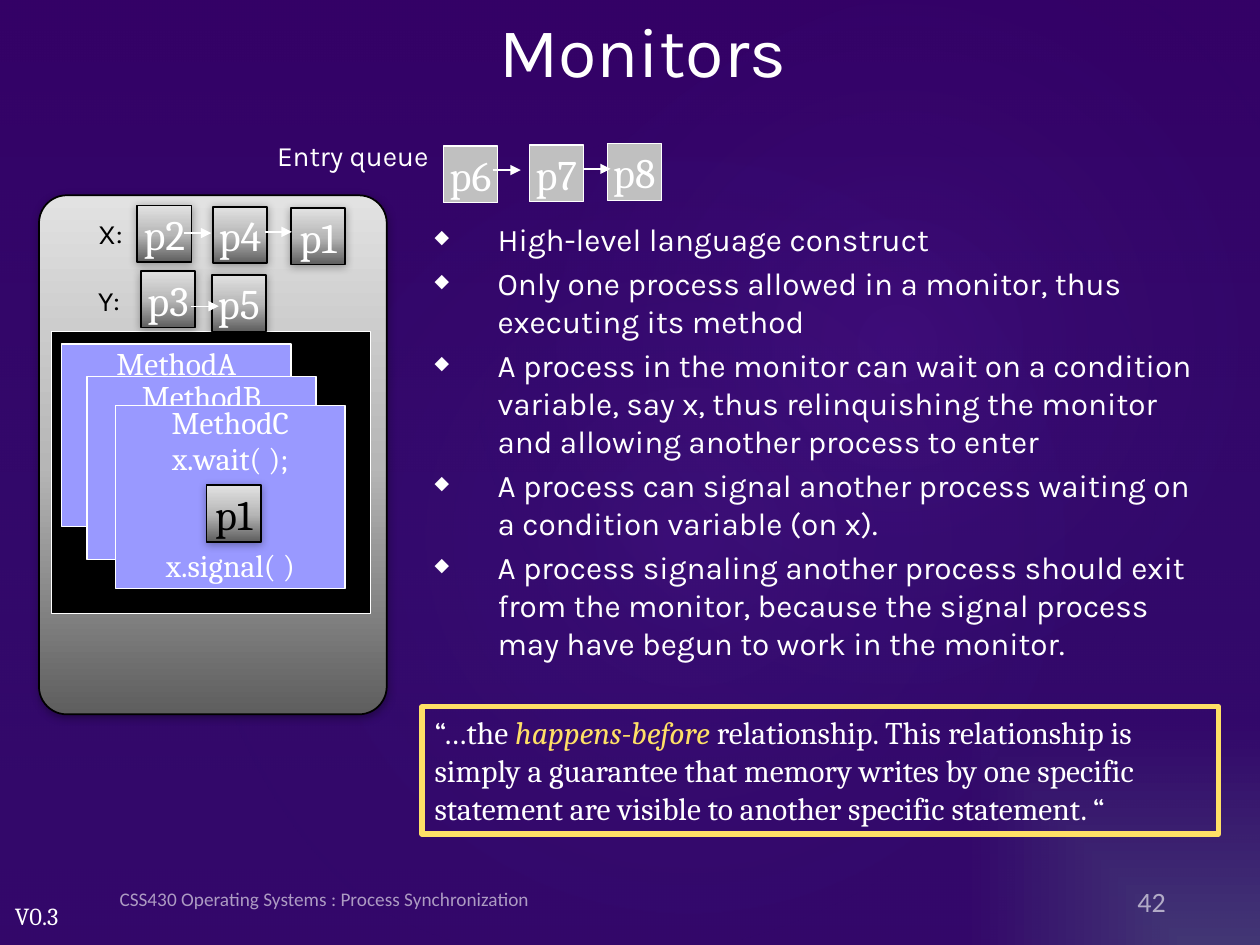
from dataclasses import dataclass
from typing import Any, Sequence

import pptx
import pptx.dml.color
import pptx.enum.shapes
import pptx.enum.text
import pptx.oxml
import pptx.oxml.ns
import pptx.util

Pt = pptx.util.Pt
qn = pptx.oxml.ns.qn
SHAPE = pptx.enum.shapes.MSO_SHAPE
ALIGN = pptx.enum.text.PP_ALIGN
ANCHOR = pptx.enum.text.MSO_ANCHOR
AUTO_SIZE = pptx.enum.text.MSO_AUTO_SIZE
WHITE, BLACK, YELLOW = "FFFFFF", "000000", "FFE066"
BOX_SIZE = (31, 32.4)
METHOD_SIZE = (131, 104.4)
ARROW_LENGTH = 15.6


@dataclass(frozen=True)
class TextStyle:
    font: str
    size: float
    color: str = WHITE
    opacity: int = 100
    italic: bool = False


@dataclass(frozen=True)
class Gradient:
    """Stops are (position, colour, opacity), all but the colour in percent."""
    stops: tuple
    angle: int = 0
    center: tuple = ()
    form: str = "circle"


@dataclass(frozen=True)
class ProcessBox:
    name: str
    left: float
    top: float
    color: str = WHITE


@dataclass(frozen=True)
class Method:
    left: float
    top: float
    lines: tuple
    spacing: float = 1.0


STEEL = Gradient(((0, "5E5E5E", 100), (48, "B6B6B6", 100), (100, "E2E2E2", 100)), angle=270)
BACKDROP = Gradient(((0, "463673", 100), (47, "350267", 100)), center=(100, 100, 0, 0), form="rect")
VEIL = Gradient(((0, "330066", 36), (100, "263B86", 10)), angle=90)
GLOWS = (((108, 82.1, 570.2, 449.3), 7), ((257.8, 9.4, 510.5, 374.4), 8))

LABEL = TextStyle("Karla", 16)
BODY = TextStyle("Karla", 18)
CODE = TextStyle("Cambria", 18)

POINTS = (
    "High-level language construct",
    "Only one process allowed in a monitor, thus executing its method",
    "A process in the monitor can wait on a condition variable, say x, thus relinquishing "
    "the monitor and allowing another process to enter",
    "A process can signal another process waiting on a condition variable (on x).",
    "A process signaling another process should exit from the monitor, because the signal "
    "process may have begun to work in the monitor.",
)
# Each method line is (text, space before)
METHODS = (
    Method(35.3, 196.6, (("MethodA", 0),)),
    Method(49.7, 215.3, (("MethodB", 0),)),
    Method(66.2, 231.8, (("MethodC", 0), ("x.wait( );", 0), ("x.signal( )", 41)), 0.95),
)
MONITOR_BOXES = (
    ProcessBox("p5", 121, 157), ProcessBox("p1", 166.3, 118.8),
    ProcessBox("p4", 121.7, 118.1), ProcessBox("p1", 118.1, 277.2, BLACK),
    ProcessBox("p3", 80.6, 154.8), ProcessBox("p2", 78.5, 117.4),
)
MONITOR_ARROWS = ((105.1, 133.2), (151.2, 132.5), (109.4, 175))
ENTRY_BOXES = (ProcessBox("p8", 347, 82.1), ProcessBox("p7", 302.4, 82.8),
               ProcessBox("p6", 253.4, 83.5))
ENTRY_ARROWS = ((282, 97.2), (333.4, 96.5))


def rgb(color: str) -> pptx.dml.color.RGBColor:
    return pptx.dml.color.RGBColor.from_string(color)


def set_attributes(target: Any, values: dict) -> None:
    for name, value in values.items():
        setattr(target, name, value)


def add_element(parent: Any, tag: str, **attributes: Any) -> Any:
    element = pptx.oxml.parse_xml(f"<{tag} {pptx.oxml.ns.nsdecls('a')}/>")
    for name, value in attributes.items():
        element.set(name, str(value))
    parent.append(element)
    return element


def add_color(parent: Any, color: str, opacity: int) -> None:
    element = add_element(parent, "a:srgbClr", val=color)
    if opacity < 100:
        add_element(element, "a:alpha", val=opacity * 1000)


def apply_gradient(fill: Any, owner: Any, gradient: Gradient) -> None:
    """Fill the owner element, whose fill object is given, with the gradient."""
    fill.gradient()
    element = next(owner.iter(qn("a:gradFill")))
    element.clear()
    stops = add_element(element, "a:gsLst")
    for position, color, opacity in gradient.stops:
        add_color(add_element(stops, "a:gs", pos=position * 1000), color, opacity)
    if gradient.center:
        shade = add_element(element, "a:path", path=gradient.form)
        sides = {side: part * 1000 for side, part in zip("ltrb", gradient.center)}
        add_element(shade, "a:fillToRect", **sides)
    else:
        add_element(element, "a:lin", ang=gradient.angle * 60000, scaled=0)


def add_run(paragraph: Any, text: str, style: TextStyle) -> None:
    run = paragraph.add_run()
    run.text = text
    set_attributes(run.font, {"name": style.font, "size": Pt(style.size), "italic": style.italic})
    run.font.color.rgb = rgb(style.color)
    if style.opacity < 100:
        color = next(run.font._element.iter(qn("a:srgbClr")))
        add_element(color, "a:alpha", val=style.opacity * 1000)


def write_lines(shape: Any, lines: Sequence, style: TextStyle, paragraph_format: dict,
                frame_format: dict) -> None:
    """Write one paragraph for each (text, space before) pair."""
    frame = shape.text_frame
    set_attributes(frame, frame_format)
    for index, (text, space) in enumerate(lines):
        paragraph = frame.add_paragraph() if index else frame.paragraphs[0]
        set_attributes(paragraph, paragraph_format)
        if space:
            paragraph.space_before = Pt(space)
        add_run(paragraph, text, style)


def add_text(shapes: Any, box: tuple, lines: Sequence, style: TextStyle,
             alignment: Any = ALIGN.LEFT, **frame_format: Any) -> Any:
    shape = shapes.add_textbox(*map(Pt, box))
    write_lines(shape, lines, style, {"alignment": alignment}, {"word_wrap": True, **frame_format})
    return shape


def add_box(shapes: Any, kind: Any, box: tuple, fill: Any, line: str = "",
            width: float = 0.75, shadow: bool = False) -> Any:
    shape = shapes.add_shape(kind, *map(Pt, box))
    shape.shadow.inherit = False
    if isinstance(fill, Gradient):
        apply_gradient(shape.fill, shape.element.spPr, fill)
    else:
        shape.fill.solid()
        shape.fill.fore_color.rgb = rgb(fill)
    if line:
        shape.line.color.rgb = rgb(line)
        shape.line.width = Pt(width)
    else:
        shape.line.fill.background()
    if shadow:
        effects = shape.element.spPr.find(qn("a:effectLst"))
        outer = add_element(effects, "a:outerShdw", blurRad=Pt(5), dist=Pt(1), dir=90 * 60000)
        add_color(outer, BLACK, 32)
    return shape


def add_process(shapes: Any, process: ProcessBox, fill: Any, *outline: Any) -> None:
    shape = add_box(shapes, SHAPE.RECTANGLE, (process.left, process.top, *BOX_SIZE), fill, *outline)
    write_lines(shape, [(process.name, 0)], TextStyle("Cambria", 24, process.color),
                {"alignment": ALIGN.CENTER},
                {"word_wrap": False, "vertical_anchor": ANCHOR.MIDDLE})


def add_method(shapes: Any, method: Method) -> None:
    shape = add_box(shapes, SHAPE.RECTANGLE, (method.left, method.top, *METHOD_SIZE),
                    "9999FF", WHITE)
    write_lines(shape, method.lines, CODE,
                {"alignment": ALIGN.CENTER, "line_spacing": method.spacing},
                {"word_wrap": False, "vertical_anchor": ANCHOR.TOP, "margin_top": 0})


def add_arrow(shapes: Any, left: float, top: float) -> None:
    arrow = shapes.add_connector(pptx.enum.shapes.MSO_CONNECTOR.STRAIGHT,
                                 Pt(left), Pt(top), Pt(left + ARROW_LENGTH), Pt(top))
    arrow.line.color.rgb = rgb(WHITE)
    arrow.line.width = Pt(0.75)
    add_element(arrow.line._get_or_add_ln(), "a:tailEnd", type="triangle")
    add_element(arrow._element.spPr, "a:effectLst")


def add_backdrop(slide: Any) -> None:
    apply_gradient(slide.background.fill, slide.element, BACKDROP)
    add_box(slide.shapes, SHAPE.RECTANGLE, (0, 0, 720, 540), VEIL)
    for box, opacity in GLOWS:
        glow = Gradient(((0, "A347FF", opacity), (58, "263B86", 0)), center=(50,) * 4)
        add_box(slide.shapes, SHAPE.OVAL, box, glow).rotation = 328.7


def add_title(slide: Any) -> None:
    title = slide.shapes.title
    title.element.getparent().append(title.element)  # in front of the backdrop
    set_attributes(title, {"left": Pt(61.2), "top": 0, "width": Pt(612), "height": Pt(56.9)})
    write_lines(title, [("Monitors", 0)], TextStyle("Karla", 40), {"alignment": ALIGN.CENTER},
                {"vertical_anchor": ANCHOR.MIDDLE, "auto_size": AUTO_SIZE.NONE})


def add_points(shapes: Any) -> None:
    lines = [(text, 3.6 if index else 0) for index, text in enumerate(POINTS)]
    body = add_text(shapes, (241.2, 120.2, 455, 263.5), lines, BODY, vertical_anchor=ANCHOR.MIDDLE)
    for paragraph in body.text_frame.paragraphs:
        properties = paragraph._p.get_or_add_pPr()
        set_indent = {"marL": Pt(36), "indent": -Pt(36)}
        for name, value in set_indent.items():
            properties.set(name, str(value))
        add_element(properties, "a:buSzPct", val=60000)
        add_element(properties, "a:buChar", char="◆")


def add_monitor(shapes: Any) -> None:
    frame = add_box(shapes, SHAPE.ROUNDED_RECTANGLE, (22.3, 111.6, 198.7, 296.6),
                    STEEL, BLACK, 1, True)
    frame.adjustments[0] = 0.08
    add_box(shapes, SHAPE.RECTANGLE, (29.5, 189.4, 182.2, 161.3), BLACK, WHITE)
    for method in METHODS:
        add_method(shapes, method)
    add_text(shapes, (49, 120.2, 29.5, 64.8), [("X:", 0), ("Y:", 19)],
             TextStyle("Karla", 16, BLACK), word_wrap=False)
    for process in MONITOR_BOXES:
        add_process(shapes, process, STEEL, BLACK, 1, True)
    for arrow in MONITOR_ARROWS:
        add_arrow(shapes, *arrow)


def add_entry_queue(shapes: Any) -> None:
    queue = shapes.add_group_shape().shapes
    for process in ENTRY_BOXES:
        add_process(queue, process, "C0C0C0", WHITE)
    for arrow in ENTRY_ARROWS:
        add_arrow(queue, *arrow)
    add_text(shapes, (151.2, 75.6, 188.6, 26.6), [("Entry queue", 0)], LABEL)


def add_quote(shapes: Any) -> None:
    quote = add_text(shapes, (241.2, 403.9, 455, 72.7), [("“…the ", 0)], CODE)
    quote.line.color.rgb = rgb(YELLOW)
    quote.line.width = Pt(3)
    paragraph = quote.text_frame.paragraphs[0]
    add_run(paragraph, "happens-before ", TextStyle("Cambria", 18, YELLOW, italic=True))
    add_run(paragraph, "relationship. This relationship is simply a guarantee that memory writes "
            "by one specific statement are visible to another specific statement. “", CODE)


def add_footer(shapes: Any) -> None:
    add_text(shapes, (1.4, 511.2, 42.5, 24.5), [("V0.3", 0)], TextStyle("Cambria", 14),
             word_wrap=False)
    add_text(shapes, (592.6, 499, 80.6, 28.8), [("42", 0)], TextStyle("Calibri", 16, opacity=60),
             ALIGN.RIGHT, vertical_anchor=ANCHOR.MIDDLE, margin_bottom=Pt(0.7))
    add_text(shapes, (61.2, 499, 363.6, 28.8),
             [("CSS430 Operating Systems : Process Synchronization", 0)],
             TextStyle("Calibri", 11, opacity=60), vertical_anchor=ANCHOR.MIDDLE)


def main() -> None:
    presentation = pptx.Presentation()
    set_attributes(presentation, {"slide_width": Pt(720), "slide_height": Pt(540)})
    slide = presentation.slides.add_slide(presentation.slide_layouts[5])
    add_backdrop(slide)
    add_title(slide)
    for draw in (add_footer, add_points, add_monitor, add_entry_queue, add_quote):
        draw(slide.shapes)
    presentation.save("out.pptx")


if __name__ == "__main__":
    main()
